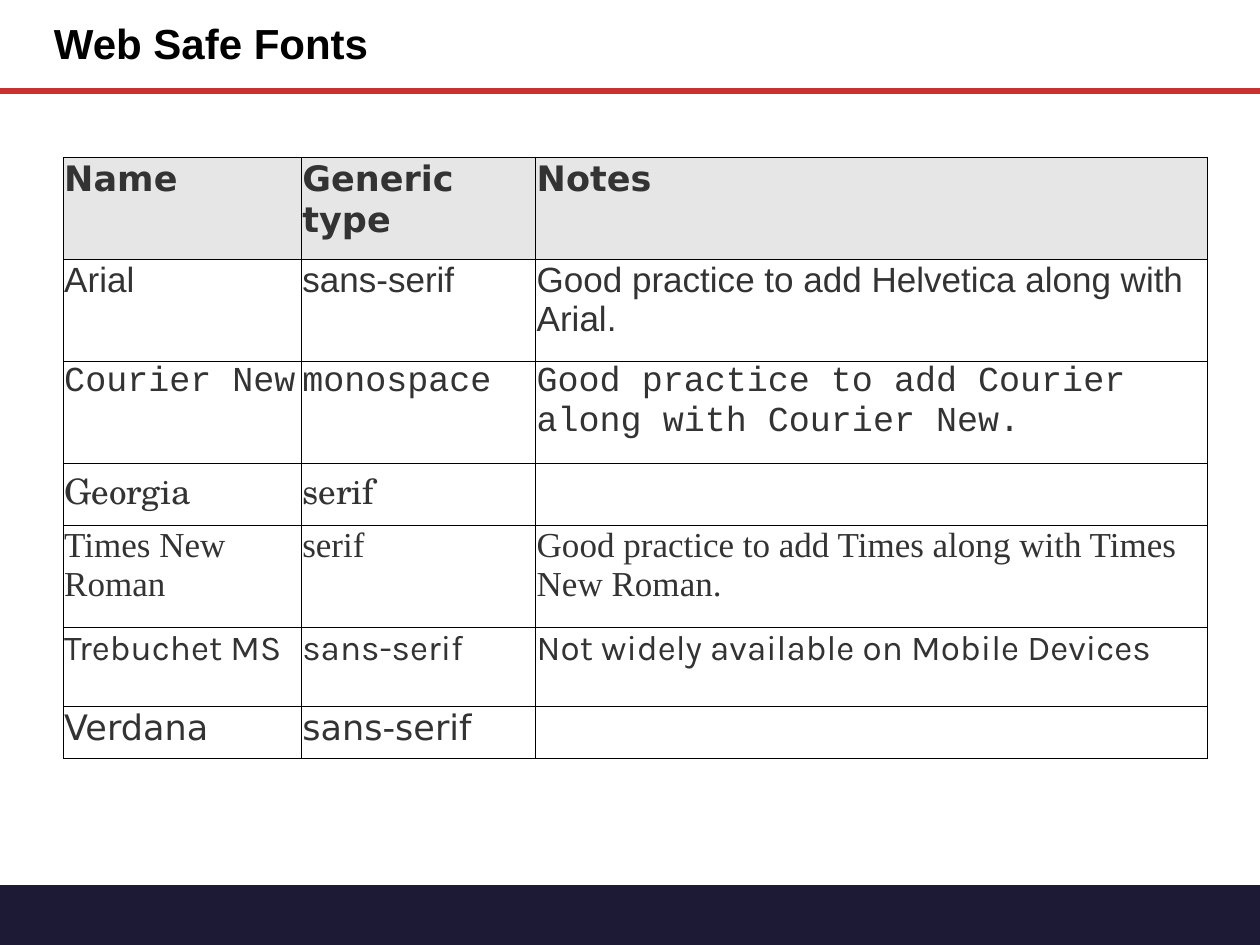
from dataclasses import dataclass

from lxml.etree import SubElement
from pptx import Presentation
from pptx.dml.color import RGBColor
from pptx.enum.shapes import MSO_CONNECTOR, MSO_SHAPE
from pptx.enum.text import MSO_ANCHOR
from pptx.oxml.ns import qn
from pptx.util import Inches, Pt


@dataclass(frozen=True)
class Theme:
    title_color: str = "000000"
    text_color: str = "333333"
    rule_color: str = "C83232"
    footer_color: str = "1D1A36"
    header_fill: str = "E7E6E6"
    body_fill: str = "FFFFFF"
    border_color: str = "000000"
    title_size: float = 24
    table_size: float = 20
    rule_width: float = 3.25
    border_width: float = 0.5
    title_font: str = "Arial"
    header_font: str = "DejaVu Sans"


THEME = Theme()
SLIDE_WIDTH, SLIDE_HEIGHT = Inches(10), Inches(7.5)

# Table grid in inches
COLUMNS = [1.89, 1.86, 5.33]
ROWS = [0.81, 0.81, 0.81, 0.49, 0.81, 0.63, 0.41]

HEADINGS = ["Name", "Generic type", "Notes"]
# Each entry: typeface of the row, then its cells
WEB_FONTS = [
    ("Arial", ["Arial", "sans-serif",
               "Good practice to add Helvetica along with Arial."]),
    ("Courier New", ["Courier New", "monospace",
                     "Good practice to add Courier along with Courier New."]),
    ("TeX Gyre Schola", ["Georgia", "serif", ""]),
    ("Times New Roman", ["Times New Roman", "serif",
                         "Good practice to add Times along with Times New Roman."]),
    ("Karla", ["Trebuchet MS", "sans-serif",
               "Not widely available on Mobile Devices"]),
    ("DejaVu Sans", ["Verdana", "sans-serif", ""]),
]


def share(left, top, width, height):
    """Turn shares of the slide's size into a box."""
    return (int(SLIDE_WIDTH * left), int(SLIDE_HEIGHT * top),
            int(SLIDE_WIDTH * width), int(SLIDE_HEIGHT * height))


def write_text(frame, text, *, font, size, color, bold=False, spacing=None):
    para = frame.paragraphs[0]
    para.line_spacing = spacing
    para.font.size = Pt(size)
    if not text:
        return
    span = para.add_run()
    span.text = text
    span.font.name = font
    span.font.size = Pt(size)
    span.font.bold = bold
    span.font.color.rgb = RGBColor.from_string(color)


def add_borders(cell):
    properties = cell._tc.get_or_add_tcPr()
    for side in ("lnL", "lnR", "lnT", "lnB"):
        line = SubElement(properties, qn(f"a:{side}"), w=str(Pt(THEME.border_width)))
        fill = SubElement(line, qn("a:solidFill"))
        SubElement(fill, qn("a:srgbClr"), val=THEME.border_color)


def fill_cell(cell, text, *, fill, **text_format):
    cell.margin_left = cell.margin_right = cell.margin_top = Inches(0.01)
    cell.margin_bottom = 0
    add_borders(cell)
    cell.fill.solid()
    cell.fill.fore_color.rgb = RGBColor.from_string(fill)
    write_text(cell.text_frame, text, size=THEME.table_size,
               color=THEME.text_color, **text_format)


def add_footer(page, box):
    bar = page.shapes.add_shape(MSO_SHAPE.FLOWCHART_PROCESS, *box)
    bar.shadow.inherit = False
    bar.fill.solid()
    bar.fill.fore_color.rgb = RGBColor.from_string(THEME.footer_color)
    bar.line.fill.background()


def add_header(page, box):
    left, top, width, height = box
    # Rule along the lower edge
    rule = page.shapes.add_connector(MSO_CONNECTOR.STRAIGHT, left, top + height,
                                     left + width, top + height)
    rule.line.color.rgb = RGBColor.from_string(THEME.rule_color)
    rule.line.width = Pt(THEME.rule_width)
    SubElement(rule._element.spPr, qn("a:effectLst"))
    # Title
    indent = int(width * 0.033)
    title = page.shapes.add_textbox(left + indent, top, int(width * 0.6), height)
    frame = title.text_frame
    frame.word_wrap = True
    frame.vertical_anchor = MSO_ANCHOR.MIDDLE
    write_text(frame, "Web Safe Fonts", font=THEME.title_font, bold=True,
               size=THEME.title_size, color=THEME.title_color, spacing=0.9)


def add_font_table(page, box):
    table = page.shapes.add_table(len(ROWS), len(COLUMNS), *box).table
    table.first_row = table.horz_banding = False
    _, _, width, height = box
    for column, size in zip(table.columns, COLUMNS):
        column.width = int(width * size / sum(COLUMNS))
    for row, size in zip(table.rows, ROWS):
        row.height = int(height * size / sum(ROWS))
    # Header row
    for cell, text in zip(table.rows[0].cells, HEADINGS):
        fill_cell(cell, text, fill=THEME.header_fill,
                  font=THEME.header_font, bold=True)
    # One row for each font, set in that font
    for row, (font, texts) in enumerate(WEB_FONTS, start=1):
        for cell, text in zip(table.rows[row].cells, texts):
            fill_cell(cell, text, fill=THEME.body_fill, font=font)


def main():
    deck = Presentation()
    deck.slide_width, deck.slide_height = SLIDE_WIDTH, SLIDE_HEIGHT
    page = deck.slides.add_slide(deck.slide_layouts[6])
    add_footer(page, share(0, 0.936, 1, 0.064))
    add_header(page, share(0, 0, 1, 0.096))
    add_font_table(page, share(0.05, 1 / 6, 0.908, sum(ROWS) / 7.5))
    deck.save("out.pptx")


if __name__ == "__main__":
    main()
